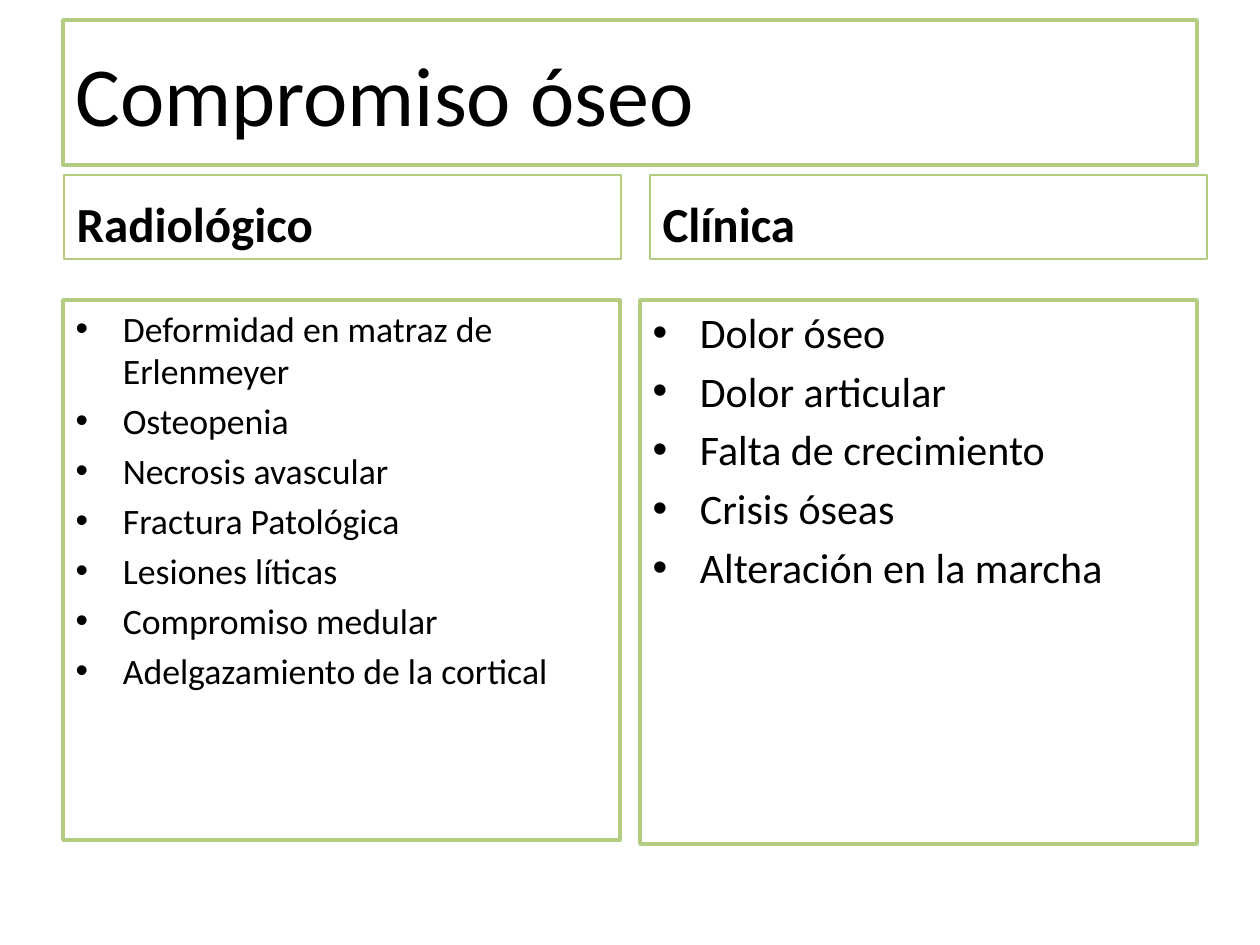
import pptx
import pptx.util
import pptx.dml.color
import pptx.enum.text

PX = pptx.util.Inches(1) / 126
ANCHOR = pptx.enum.text.MSO_ANCHOR
GREEN, WHITE, BLACK = "B3CC82", "FFFFFF", "000000"


def px(length):
    return pptx.util.Emu(round(length * PX))


def color(value):
    return pptx.dml.color.RGBColor.from_string(value)


def set_values(target, values):
    for name, value in values.items():
        setattr(target, name, value)


def place_panel(shape, box, texts, size, anchor, fill=None, line=2, bold=False):
    """Frame a placeholder in green and fill it with one paragraph per text."""
    set_values(shape, dict(zip(("left", "top", "width", "height"), map(px, box))))
    if fill:
        shape.fill.solid()
        shape.fill.fore_color.rgb = color(fill)
    shape.line.color.rgb = color(GREEN)
    shape.line.width = pptx.util.Pt(line)

    frame = shape.text_frame
    set_values(frame, {
        "word_wrap": True,
        "auto_size": pptx.enum.text.MSO_AUTO_SIZE.NONE,
        "vertical_anchor": anchor,
    })
    for index, text in enumerate(texts):
        para = frame.add_paragraph() if index else frame.paragraphs[0]
        para.alignment = pptx.enum.text.PP_ALIGN.LEFT
        if index == 0:
            para.space_before = pptx.util.Pt(0)
        span = para.add_run()
        span.text = text
        set_values(span.font, {
            "name": "Calibri", "size": pptx.util.Pt(size), "bold": bold})
        span.font.color.rgb = color(BLACK)


def place_column(heading, body, heading_box, body_box, title, items, size):
    """Place a bold heading and the bulleted list below it."""
    place_panel(heading, heading_box, [title], 28, ANCHOR.BOTTOM,
                line=0.75, bold=True)
    place_panel(body, body_box, items, size, ANCHOR.TOP, fill=WHITE)


def build_comparison(deck):
    page = deck.slides.add_slide(deck.slide_layouts[4])
    title, left_head, left_list, right_head, right_list = page.placeholders

    # Title
    place_panel(title, (63, 20, 1134, 145), ["Compromiso óseo"], 48,
                ANCHOR.MIDDLE, fill=WHITE)

    # Radiological findings
    place_column(left_head, left_list, (64, 175, 557, 84), (63, 300, 557, 540),
                 "Radiológico", [
                     "Deformidad en matraz de Erlenmeyer",
                     "Osteopenia",
                     "Necrosis avascular",
                     "Fractura Patológica",
                     "Lesiones líticas",
                     "Compromiso medular",
                     "Adelgazamiento de la cortical",
                 ], 20.4)

    # Clinical findings
    place_column(right_head, right_list, (650, 175, 557, 84), (640, 300, 557, 544),
                 "Clínica", [
                     "Dolor óseo",
                     "Dolor articular",
                     "Falta de crecimiento",
                     "Crisis óseas",
                     "Alteración en la marcha",
                 ], 24)


def main():
    deck = pptx.Presentation()
    deck.slide_width, deck.slide_height = px(1260), px(945)
    build_comparison(deck)
    deck.save("out.pptx")


if __name__ == "__main__":
    main()
